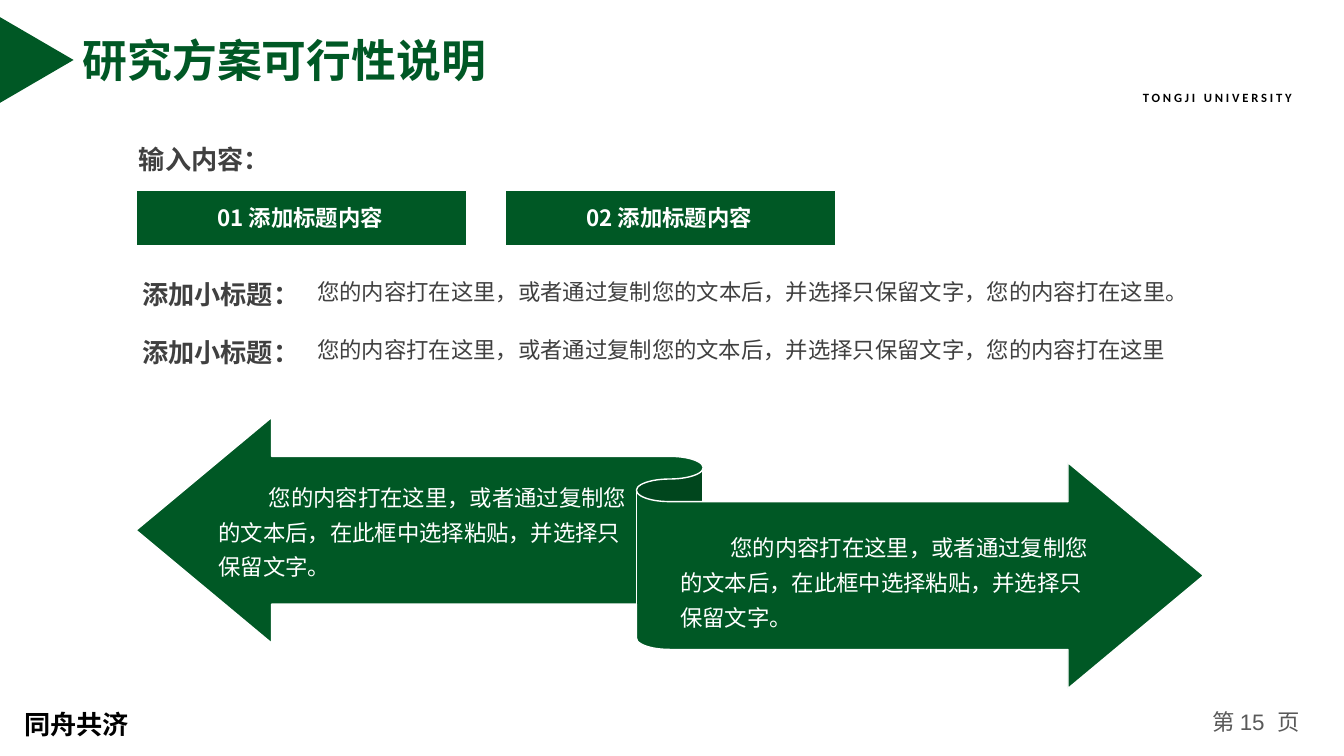
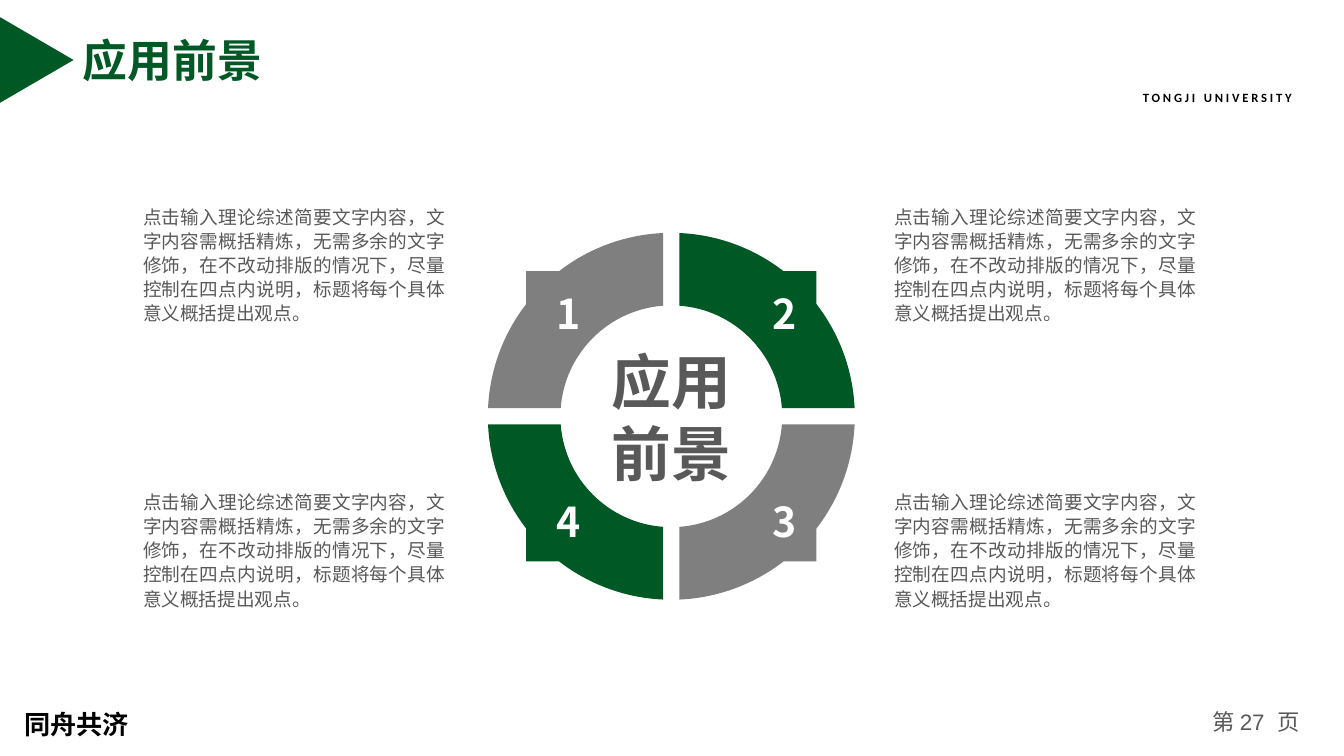
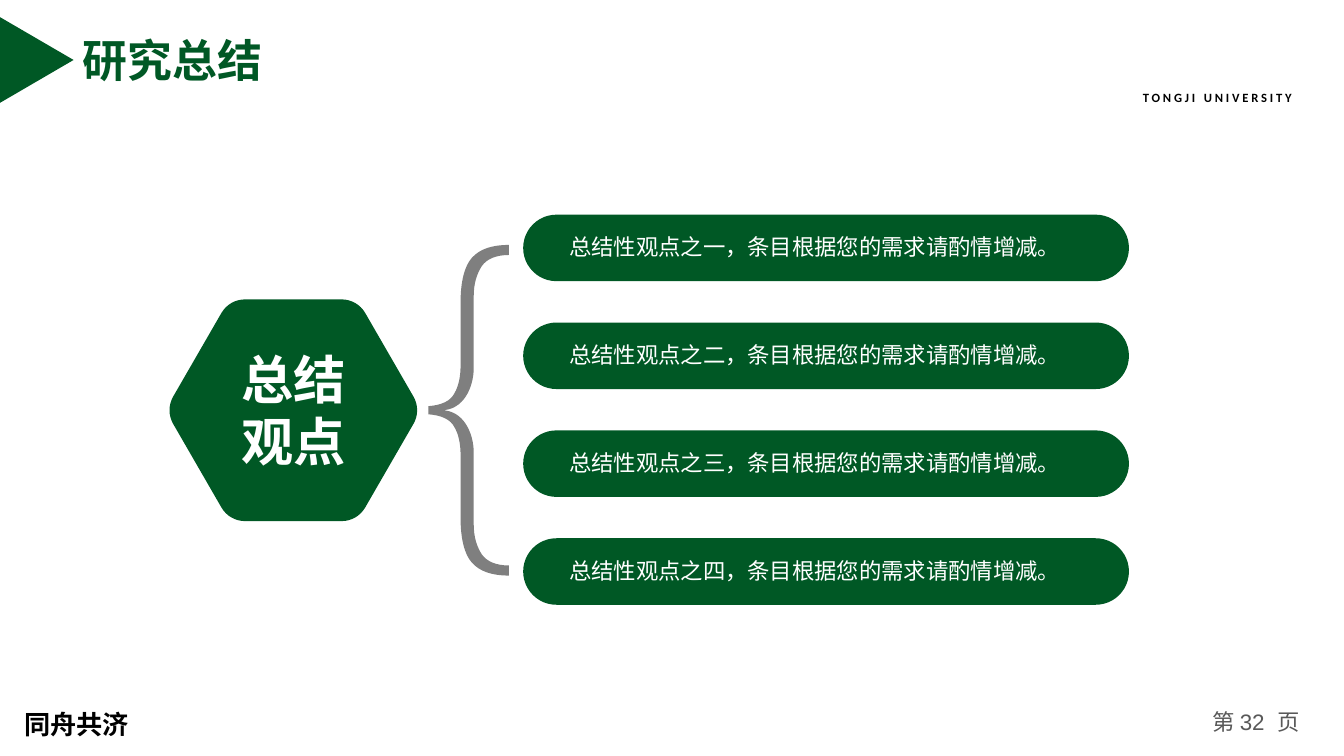
from dataclasses import dataclass
from math import acos, asin, cos, pi, radians, sin, tan
from typing import Optional

from lxml.etree import SubElement
from pptx import Presentation
from pptx.dml.color import RGBColor
from pptx.enum.shapes import MSO_SHAPE as SHAPE
from pptx.enum.text import MSO_ANCHOR as ANCHOR, MSO_AUTO_SIZE as AUTO, PP_ALIGN as ALIGN
from pptx.oxml.ns import qn
from pptx.util import Inches, Pt

COLORS = {"green": "005825", "gray": "7F7F7F", "text": "595959",
          "dark": "404040", "black": "000000", "white": "FFFFFF"}
CJK = "Noto Sans CJK SC"
DEFAULT_INSETS = (0.1, 0.05, 0.1, 0.05)
WIDE_INSETS = (0.13, 0.07, 0.13, 0.07)
NO_INSETS = (0, 0, 0, 0)

Point = tuple[float, float]
Segment = tuple[Point, ...]
Box = tuple[float, float, float, float]


@dataclass(frozen=True)
class Style:
    size: float
    color: str
    bold: bool = False
    align: ALIGN = ALIGN.LEFT
    font: str = CJK
    leading: Optional[object] = None
    indent: float = 0
    tracking: float = 0
    insets: Box = DEFAULT_INSETS
    anchor: ANCHOR = ANCHOR.TOP
    wrap: bool = True


@dataclass(frozen=True)
class Row:
    top: float
    width: float
    text: str


@dataclass(frozen=True)
class Quadrant:
    number: str
    dx: int
    dy: int
    color: str


TITLE = Style(32, "green", True, font="Arial", insets=WIDE_INSETS, anchor=ANCHOR.MIDDLE, wrap=False)
PAGE = Style(16, "text", align=ALIGN.CENTER)
SCHOOL = Style(9, "black", True, ALIGN.JUSTIFY, "Calibri", tracking=2)
MOTTO = Style(18.7, "black", True, leading=1.5)
HEADING = Style(18.7, "dark", True, anchor=ANCHOR.MIDDLE, wrap=False)
SUBHEAD = Style(18.7, "dark", True, insets=WIDE_INSETS, anchor=ANCHOR.MIDDLE, wrap=False)
TAG = Style(16, "white", True, ALIGN.CENTER, insets=(0.1, 0.05, 0.12, 0.06), anchor=ANCHOR.MIDDLE)
BODY = Style(16, "dark")
RIBBON = Style(16, "white", leading=1.3, indent=0.5)
NOTE = Style(13.3, "text", align=ALIGN.JUSTIFY, leading=Pt(17.3), insets=NO_INSETS)
HUB = Style(42.7, "text", True, ALIGN.CENTER, insets=NO_INSETS)
NUMBER = Style(29.3, "white", True, ALIGN.CENTER, insets=NO_INSETS)
HEXAGON = Style(37.3, "white", True, ALIGN.CENTER, insets=(0.55, 0, 0.55, 0.01), anchor=ANCHOR.MIDDLE)
BAR = Style(16, "white", align=ALIGN.JUSTIFY, leading=Pt(17.3),
            insets=(0.36, 0, 0.36, 0), anchor=ANCHOR.MIDDLE)

ROWS = [
    Row(2.69, 9.82, "您的内容打在这里，或者通过复制您的文本后，并选择只保留文字，您的内容打在这里。"),
    Row(3.27, 8.9, "您的内容打在这里，或者通过复制您的文本后，并选择只保留文字，您的内容打在这里"),
]
RIBBON_TEXT = "您的内容打在这里，或者通过复制您的文本后，在此框中选择粘贴，并选择只保留文字。"
NOTE_TEXT = ("点击输入理论综述简要文字内容，文字内容需概括精炼，无需多余的文字修饰，"
             "在不改动排版的情况下，尽量控制在四点内说明，标题将每个具体意义概括提出观点。")
QUADRANTS = [Quadrant("1", -1, -1, "gray"), Quadrant("2", 1, -1, "green"),
             Quadrant("3", 1, 1, "gray"), Quadrant("4", -1, 1, "green")]


def rgb(name: str) -> RGBColor:
    return RGBColor.from_string(COLORS[name])


def write(sp, texts: list[str], st: Style) -> list:
    tf = sp.text_frame
    tf.auto_size = AUTO.NONE
    tf.word_wrap = st.wrap
    tf.vertical_anchor = st.anchor
    tf.margin_left, tf.margin_top, tf.margin_right, tf.margin_bottom = map(Inches, st.insets)
    p = tf.paragraphs[0]
    p.alignment = st.align
    p.space_before = Pt(0)
    if st.leading:
        p.line_spacing = st.leading
    if st.indent:
        p._p.get_or_add_pPr().set("indent", str(Inches(st.indent)))
    font = p.font
    font.size, font.bold, font.name = Pt(st.size), st.bold, st.font
    font.color.rgb = rgb(st.color)
    SubElement(font._element, qn("a:ea")).set("typeface", CJK)
    if st.tracking:
        font._element.set("spc", str(int(st.tracking * 100)))
    runs = []
    for text in texts:
        r = p.add_run()
        r.text = text
        runs.append(r)
    return runs


def add_text(s, box: Box, text: str, st: Style) -> None:
    write(s.shapes.add_textbox(*map(Inches, box)), [text], st)


def paint(sp, color: str, outlined: bool = False):
    sp.shadow.inherit = False
    sp.fill.solid()
    sp.fill.fore_color.rgb = rgb(color)
    if outlined:
        sp.line.color.rgb = rgb("white")
        sp.line.width = Pt(1)
    else:
        sp.line.fill.background()
    return sp


def add_preset(s, kind: SHAPE, box: Box, outlined: bool = False, adj: tuple = ()):
    sp = s.shapes.add_shape(kind, *map(Inches, box))
    for i, value in enumerate(adj):
        sp.adjustments[i] = value
    return paint(sp, "green", outlined)


def add_outline(s, segments: list[Segment], color: str):
    pts = [(Inches(x), Inches(y)) for segment in segments for x, y in segment]
    fb = s.shapes.build_freeform(*pts[0])
    fb.add_line_segments(pts[1:], close=True)
    sp = fb.convert_to_shape()
    nodes = iter(list(sp._element.iter(qn("a:lnTo"))))
    for segment in segments[1:]:
        node = next(nodes)
        if len(segment) == 3:
            node.tag = qn("a:cubicBezTo")
            for extra in (next(nodes), next(nodes)):
                node.append(extra[0])
                extra.getparent().remove(extra)
    return paint(sp, color)


def arc(cx: float, cy: float, radius: float, start: float, end: float) -> list[Segment]:
    k = 4 / 3 * tan((end - start) / 4)

    def at(a: float, pull: float = 0) -> Point:
        return (cx + radius * (cos(a) - pull * sin(a)), cy + radius * (sin(a) + pull * cos(a)))

    return [(at(start),), (at(start, k), at(end, -k), at(end))]


def add_base(prs, title: str, page: int):
    s = prs.slides.add_slide(prs.slide_layouts[5])
    number = s.shapes.add_textbox(*map(Inches, (11.86, 6.98, 1.2, 0.4)))
    runs = write(number, ["第 ", f"{page}  ", "页"], PAGE)
    runs[1].font.name = "Arial"
    add_text(s, (11.24, 0.84, 1.92, 0.24), "TONGJI UNIVERSITY", SCHOOL)
    add_text(s, (0.14, 6.82, 1.37, 0.53), "同舟共济", MOTTO)
    sp = s.shapes.title
    box = (0.69, 0.26, 0.26 + 0.45 * len(title), 0.67)
    sp.left, sp.top, sp.width, sp.height = map(Inches, box)
    write(sp, [title], TITLE)
    add_preset(s, SHAPE.ISOSCELES_TRIANGLE, (-0.06, 0.23, 0.85, 0.73)).rotation = 90
    return s


def build_feasibility(prs) -> None:
    s = add_base(prs, "研究方案可行性说明", 15)
    add_text(s, (1.28, 1.37, 1.51, 0.42), "输入内容：", HEADING)
    for i in range(2):
        tag = add_preset(s, SHAPE.RECTANGLE, (1.35 + 3.66 * i, 1.89, 3.28, 0.55), True)
        write(tag, [f"0{i + 1} 添加标题内容"], TAG)
    for row in ROWS:
        add_text(s, (1.28, row.top, 1.84, 0.45), "添加小标题：", SUBHEAD)
        add_text(s, (3.05, row.top + 0.02, row.width, 0.37), row.text, BODY)
    add_preset(s, SHAPE.LEFT_RIGHT_RIBBON, (1.35, 4.14, 10.59, 2.69), True, (0.545, 0.5, 0.167))
    for left, top in ((2.07, 4.67), (6.65, 5.17)):
        add_text(s, (left, top, 4.25, 1.12), RIBBON_TEXT, RIBBON)


def ring_segment(cx: float, cy: float, q: Quadrant) -> list[Segment]:
    outer, inner, half_gap, tab = 1.82, 1.1, 0.08, 1.44
    a_out, a_in = asin(half_gap / outer), asin(half_gap / inner)
    segments = arc(0, 0, outer, a_out, acos(tab / outer))
    segments.append(((tab, tab),))
    segments += arc(0, 0, outer, asin(tab / outer), pi / 2 - a_out)
    segments += arc(0, 0, inner, pi / 2 - a_in, a_in)
    return [tuple((cx + q.dx * x, cy + q.dy * y) for x, y in segment) for segment in segments]


def build_prospects(prs) -> None:
    s = add_base(prs, "应用前景", 27)
    cx, cy = 6.66, 4.13
    add_text(s, (5.98, 3.42, 1.36, 1.44), "应用前景", HUB)
    for q in QUADRANTS:
        add_outline(s, ring_segment(cx, cy, q), q.color)
        left, upper = q.dx < 0, q.dy < 0
        add_text(s, (5.52 if left else 7.66, 2.86 if upper else 4.93, 0.21, 0.49), q.number, NUMBER)
        add_text(s, (1.42 if left else 8.87, 2.02 if upper else 4.85, 3, 1.18), NOTE_TEXT, NOTE)


def hexagon_outline(cx: float, cy: float, size: float, corner: float) -> list[Segment]:
    reach = size - corner / cos(radians(30))
    segments = []
    for degrees in range(0, 360, 60):
        a = radians(degrees)
        segments += arc(cx + reach * cos(a), cy + reach * sin(a), corner, a - pi / 6, a + pi / 6)
    return segments


def brace_outline(cy: float) -> list[Segment]:
    half = [
        ((4.38, 0),),
        ((4.6, 0), (4.7, 0.23), (4.7, 0.42)),
        ((4.7, 1.13),),
        ((4.7, 1.26), (4.73, 1.35), (4.78, 1.43)),
        ((4.83, 1.5), (4.92, 1.54), (5.05, 1.54)),
        ((5.05, 1.64),),
        ((4.88, 1.64), (4.76, 1.6), (4.68, 1.51)),
        ((4.61, 1.43), (4.57, 1.28), (4.57, 1.07)),
        ((4.57, 0.45),),
        ((4.57, 0.33), (4.55, 0.24), (4.51, 0.17)),
        ((4.47, 0.09), (4.38, 0.05), (4.25, 0.04)),
    ]
    back = [(half[-1][-1],)]
    for before, segment in reversed(list(zip(half, half[1:]))):
        back.append(tuple(reversed(segment[:-1])) + (before[-1],))
    return [tuple((x, cy + sign * y) for x, y in segment)
            for sign, side in ((1, half), (-1, back)) for segment in side]


def build_summary(prs) -> None:
    s = add_base(prs, "研究总结", 32)
    cy = 4.07
    write(add_outline(s, hexagon_outline(2.91, cy, 1.27, 0.27), "green"), ["总结观点"], HEXAGON)
    add_outline(s, brace_outline(cy), "gray")
    for i, ordinal in enumerate("一二三四"):
        bar = add_preset(s, SHAPE.ROUNDED_RECTANGLE, (5.19, 2.13 + 1.07 * i, 6.01, 0.66), adj=(0.5,))
        write(bar, [f"总结性观点之{ordinal}，条目根据您的需求请酌情增减。"], BAR)


def main() -> None:
    prs = Presentation()
    prs.slide_width, prs.slide_height = Inches(40 / 3), Inches(7.5)
    build_feasibility(prs)
    build_prospects(prs)
    build_summary(prs)
    prs.save("out.pptx")


if __name__ == "__main__":
    main()
